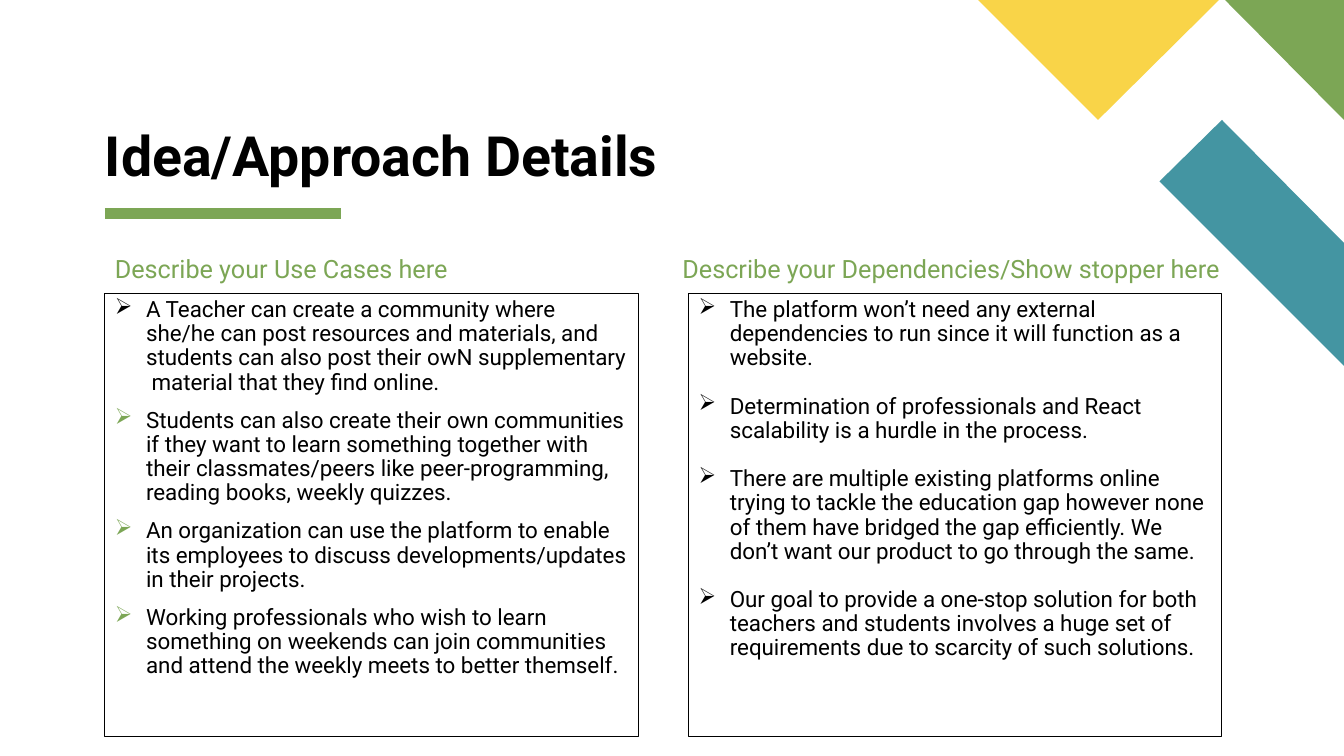
from lxml.etree import SubElement
from pptx import Presentation
from pptx.dml.color import RGBColor
from pptx.enum.shapes import MSO_CONNECTOR, MSO_SHAPE
from pptx.enum.text import MSO_ANCHOR, MSO_AUTO_SIZE, PP_ALIGN
from pptx.oxml.ns import qn
from pptx.util import Inches, Pt

BLACK = RGBColor(0x00, 0x00, 0x00)
GREEN = RGBColor(0x7C, 0xA6, 0x55)
TEAL = RGBColor(0x44, 0x95, 0xA2)
YELLOW = RGBColor(0xF9, 0xD4, 0x48)
FONT = "Roboto"
SLIDE_WIDTH = 13.33

CORNER_BLOCKS = [
    (TEAL, [(13.33, 3.63), (13.33, 2.41), (12.12, 1.19), (11.5, 1.8)]),
    (GREEN, [(13.33, 1.19), (13.33, 0), (12.15, 0)]),
    (YELLOW, [(9.7, 0), (10.89, 1.19), (12.09, 0)]),
]

USE_CASES = [
    "A Teacher can create a community where she/he can post resources and materials, "
    "and students can also post their owN supplementary  material that they find online.",
    "Students can also create their own communities if they want to learn something "
    "together with their classmates/peers like peer-programming, reading books, weekly quizzes.",
    "An organization can use the platform to enable its employees to discuss "
    "developments/updates in their projects.",
    "Working professionals who wish to learn something on weekends can join communities "
    "and attend the weekly meets to better themself.",
]
DEPENDENCIES = [
    "The platform won’t need any external dependencies to run since it will function "
    "as a website.",
    "Determination of professionals and React scalability is a hurdle in the process.",
    "There are multiple existing platforms online trying to tackle the education gap "
    "however none of them have bridged the gap efficiently. We don’t want our product "
    "to go through the same.",
    "Our goal to provide a one-stop solution for both teachers and students involves "
    "a huge set of requirements due to scarcity of such solutions.",
]


def style_paragraph(paragraph, size, color, bold=False):
    paragraph.alignment = PP_ALIGN.LEFT
    paragraph.line_spacing = 0.9
    paragraph.font.name = FONT
    paragraph.font.size = Pt(size)
    paragraph.font.bold = bold
    paragraph.font.color.rgb = color


def add_bullet(paragraph, color):
    properties = paragraph._p.get_or_add_pPr()
    properties.set("marL", str(Inches(0.31)))
    properties.set("indent", str(-Inches(0.31)))
    bullet_color = SubElement(properties, qn("a:buClr"))
    SubElement(bullet_color, qn("a:srgbClr"), val=str(color))
    SubElement(properties, qn("a:buChar"), char="➢")


def add_corner_block(slide, color, corners):
    points = [(Inches(x), Inches(y)) for x, y in corners]
    builder = slide.shapes.build_freeform(*points[0])
    builder.add_line_segments(points[1:], close=True)
    block = builder.convert_to_shape()
    block.shadow.inherit = False
    block.fill.solid()
    block.fill.fore_color.rgb = color
    block.line.fill.background()


def add_title(slide, text):
    title = slide.shapes.title
    title.left, title.top = Inches(1.04), Inches(1.2)
    title.width, title.height = Inches(6.32), Inches(0.67)
    frame = title.text_frame
    frame.text = text
    frame.auto_size = MSO_AUTO_SIZE.NONE
    frame.vertical_anchor = MSO_ANCHOR.BOTTOM
    frame.margin_left = frame.margin_right = frame.margin_top = frame.margin_bottom = 0
    style_paragraph(frame.paragraphs[0], 39.6, BLACK, bold=True)


def add_title_rule(slide):
    rule = slide.shapes.add_connector(
        MSO_CONNECTOR.STRAIGHT, Inches(1.04), Inches(2.12), Inches(3.38), Inches(2.12))
    rule.line.color.rgb = GREEN
    rule.line.width = Pt(8)
    SubElement(rule._element.spPr, qn("a:effectLst"))


def add_heading(slide, left, width, text):
    heading = slide.shapes.add_textbox(Inches(left), Inches(2.5), Inches(width), Inches(0.35))
    heading.text_frame.word_wrap = True
    heading.text_frame.text = text
    style_paragraph(heading.text_frame.paragraphs[0], 18, GREEN)


def add_bullet_box(slide, left, items, gap, later_bullet_color):
    """Add a framed list whose first bullet is black."""
    box = slide.shapes.add_shape(
        MSO_SHAPE.RECTANGLE, Inches(left), Inches(2.91), Inches(5.29), Inches(4.4))
    box.shadow.inherit = False
    box.fill.background()
    box.line.color.rgb = BLACK
    box.line.width = Pt(0.75)
    frame = box.text_frame
    frame.word_wrap = True
    frame.vertical_anchor = MSO_ANCHOR.TOP
    for index, item in enumerate(items):
        paragraph = frame.add_paragraph() if index else frame.paragraphs[0]
        paragraph.text = item
        style_paragraph(paragraph, 16, BLACK)
        paragraph.space_before = Pt(gap if index else 0)
        add_bullet(paragraph, later_bullet_color if index else BLACK)


def main():
    presentation = Presentation()
    presentation.slide_width = Inches(SLIDE_WIDTH)
    presentation.slide_height = Inches(7.5)
    slide = presentation.slides.add_slide(presentation.slide_layouts[5])

    add_title_rule(slide)
    for color, corners in CORNER_BLOCKS:
        add_corner_block(slide, color, corners)
    add_title(slide, "Idea/Approach Details")
    add_heading(slide, 1.04, 5.29, "Describe your Use Cases here")
    add_bullet_box(slide, 1.04, USE_CASES, 10, GREEN)
    add_heading(slide, 6.67, 6.15, "Describe your Dependencies/Show stopper here")
    add_bullet_box(slide, 6.83, DEPENDENCIES, 17.25, BLACK)

    presentation.save("out.pptx")


if __name__ == "__main__":
    main()
